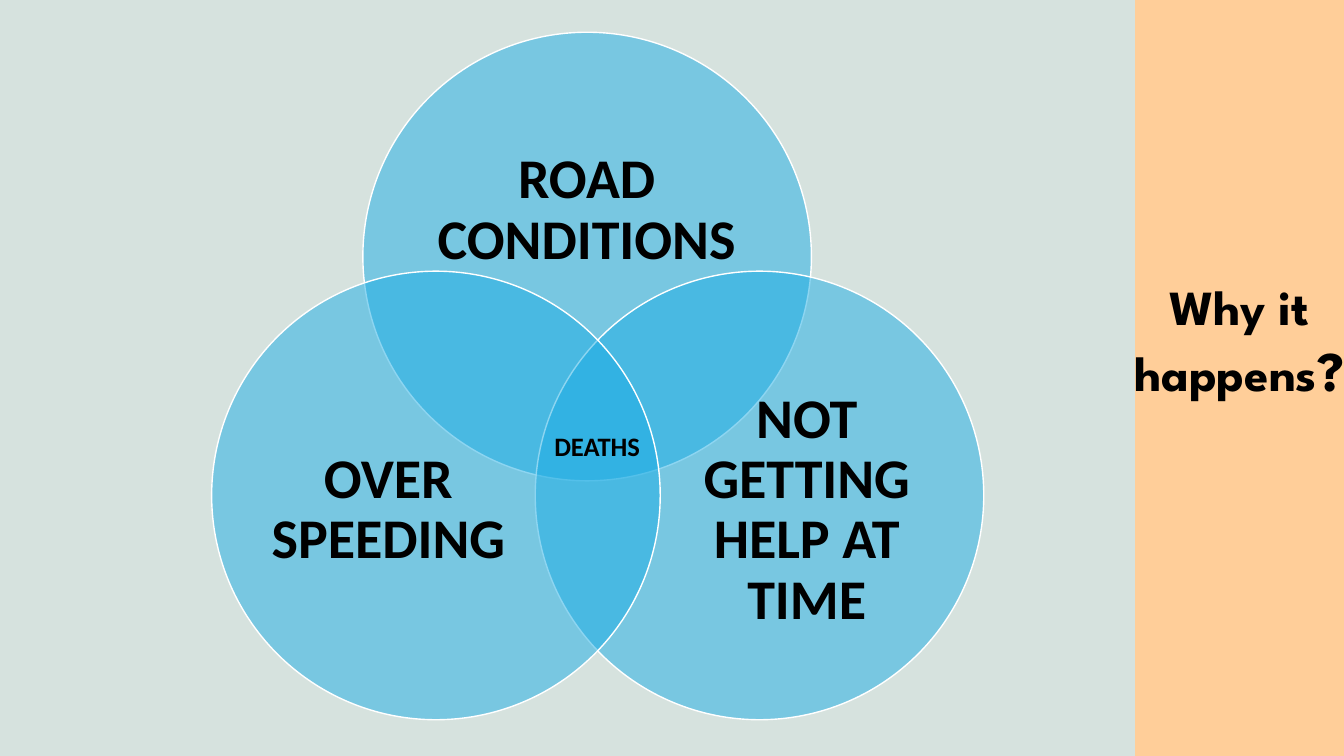
from dataclasses import dataclass

from lxml.etree import SubElement
from pptx import Presentation
from pptx.dml.color import RGBColor
from pptx.enum.shapes import MSO_SHAPE as Shape
from pptx.enum.text import MSO_ANCHOR as Anchor, MSO_AUTO_SIZE as AutoSize, PP_ALIGN as Align
from pptx.oxml.ns import qn
from pptx.util import Inches, Pt

COLUMNS, ROWS = 160, 90
WIDTH, HEIGHT = Inches(13.33), Inches(7.5)
TITLE_ONLY = 5


@dataclass(frozen=True)
class Theme:
    background: str = "D6E2DE"
    panel: str = "FFCE99"
    circle: str = "1CADE4"
    outline: str = "FFFFFF"
    text: str = "000000"
    body_font: str = "Calibri"
    title_font: str = "League Spartan"
    circle_size: int = 40
    center_size: int = 19
    title_size: int = 35
    mark_size: int = 40


def set_all(target, values):
    for name, value in values.items():
        setattr(target, name, value)


def box(left, top, width, height):
    """Turn grid columns and rows into slide lengths."""
    return (round(left * WIDTH / COLUMNS), round(top * HEIGHT / ROWS),
            round(width * WIDTH / COLUMNS), round(height * HEIGHT / ROWS))


class VennSlide:
    def __init__(self, presentation, theme):
        self.theme = theme
        self.slide = presentation.slides.add_slide(presentation.slide_layouts[TITLE_ONLY])
        self.shapes = self.slide.shapes
        self.paint(self.slide.background.fill, theme.background)

    def paint(self, fill, color, alpha=None):
        fill.solid()
        fill.fore_color.rgb = RGBColor.from_string(color)
        if alpha is not None:
            for tag in fill._xPr.iter(qn("a:srgbClr")):
                SubElement(tag, qn("a:alpha"), val=str(alpha * 1000))

    def add_run(self, paragraph, text, size, font):
        run = paragraph.add_run()
        run.text = text
        set_all(run.font, {"size": Pt(size), "name": font, "bold": True})
        run.font.color.rgb = RGBColor.from_string(self.theme.text)

    def add_panel(self, *cells):
        panel = self.shapes.add_shape(Shape.RECTANGLE, *box(*cells))
        panel.shadow.inherit = False
        self.paint(panel.fill, self.theme.panel)
        panel.line.fill.background()

    def add_circle(self, *cells):
        circle = self.shapes.add_shape(Shape.OVAL, *box(*cells))
        circle.shadow.inherit = False
        self.paint(circle.fill, self.theme.circle, alpha=50)
        self.paint(circle.line.fill, self.theme.outline)
        circle.line.width = Pt(1)

    def add_label(self, text, cells, size, frame_format, paragraph_format):
        frame = self.shapes.add_textbox(*box(*cells)).text_frame
        set_all(frame, {"word_wrap": True, **frame_format})
        paragraph = frame.paragraphs[0]
        set_all(paragraph, paragraph_format)
        self.add_run(paragraph, text, size, self.theme.body_font)

    def add_title(self, text, mark, cells):
        title = self.shapes.title
        set_all(title, dict(zip(("left", "top", "width", "height"), box(*cells))))
        self.shapes._spTree.append(title._element)  # bring in front of the panel
        frame = title.text_frame
        set_all(frame, {"word_wrap": True, "vertical_anchor": Anchor.TOP,
                        "auto_size": AutoSize.SHAPE_TO_FIT_TEXT})
        paragraph = frame.paragraphs[0]
        paragraph.alignment = Align.CENTER
        self.add_run(paragraph, text, self.theme.title_size, self.theme.title_font)
        self.add_run(paragraph, mark, self.theme.mark_size, self.theme.title_font)


def main():
    presentation = Presentation()
    set_all(presentation, {"slide_width": WIDTH, "slide_height": HEIGHT})
    theme = Theme()
    venn = VennSlide(presentation, theme)

    diameter = 53.4
    upper_label = (7.08, 9.24, 39.12, 24)
    right_label = (16.32, 13.8, 32, 29.4)
    left_label = (5.04, 13.8, 32, 29.4)
    causes = [
        ("ROAD CONDITIONS", 43.2, 3.84, upper_label),
        ("NOT GETTING HELP AT TIME", 63.72, 32.28, right_label),
        ("OVER SPEEDING", 25.2, 32.28, left_label),
    ]
    margins = ("margin_left", "margin_top", "margin_right", "margin_bottom")
    cause_frame = {"vertical_anchor": Anchor.MIDDLE, **dict.fromkeys(margins, 0)}
    cause_paragraph = {"alignment": Align.CENTER, "line_spacing": 0.9}
    for text, left, top, (across, down, width, height) in causes:
        venn.add_circle(left, top, diameter, diameter)
        venn.add_label(text, (left + across, top + down, width, height),
                       theme.circle_size, cause_frame, cause_paragraph)

    venn.add_label("DEATHS", (64.8, 50.64, 15.24, 5.04), theme.center_size,
                   {"auto_size": AutoSize.SHAPE_TO_FIT_TEXT}, {"alignment": Align.LEFT})

    panel_left = 135.12
    venn.add_panel(panel_left, 0, COLUMNS - panel_left, ROWS)
    venn.add_title("Why it happens", "?", (133.8, 32.28, 27.48, 23.4))
    presentation.save("out.pptx")


if __name__ == "__main__":
    main()
